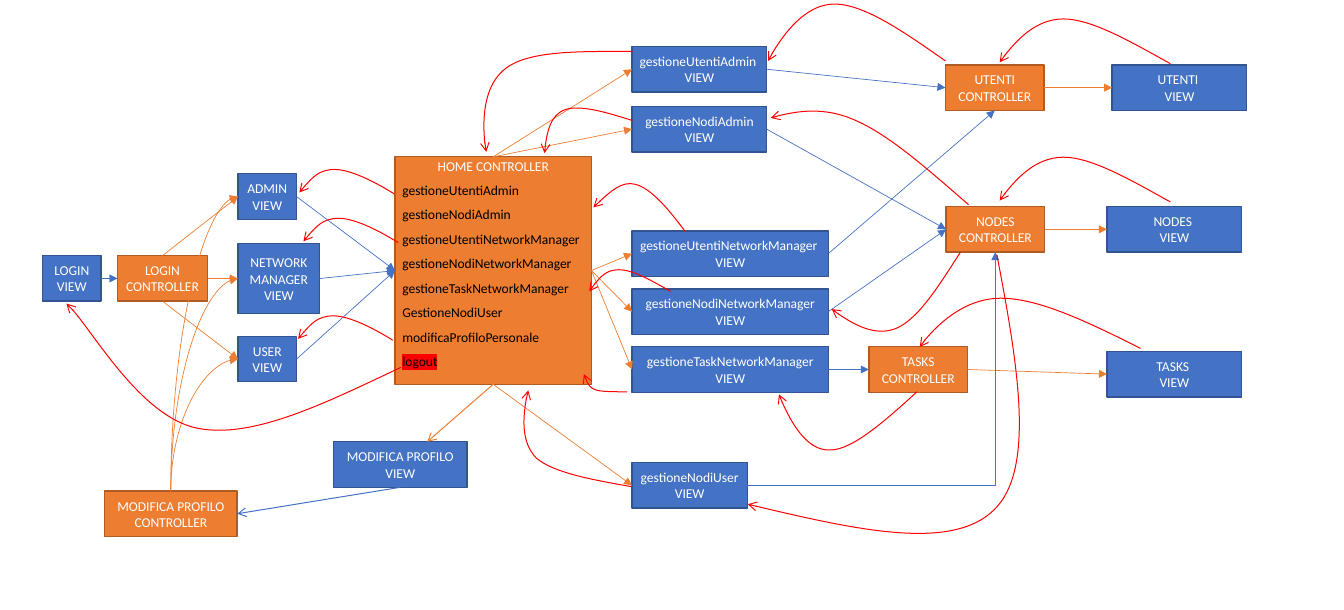
from lxml import etree
from pptx import Presentation
from pptx.dml.color import RGBColor
from pptx.enum.shapes import MSO_CONNECTOR, MSO_SHAPE
from pptx.enum.text import MSO_ANCHOR, PP_ALIGN
from pptx.oxml.ns import qn
from pptx.util import Pt

THEME = {
    "font": "Calibri", "size": Pt(10),
    "view": "4472C4", "view_edge": "325491",
    "controller": "ED7D31", "controller_edge": "AF5C24",
    "back": "FF0000", "light": "FFFFFF", "dark": "000000",
}
TOP, LEFT, BOTTOM, RIGHT = range(4)

prs = Presentation()
prs.slide_width, prs.slide_height = Pt(992.16), Pt(450)
slide = prs.slides.add_slide(prs.slide_layouts[6])
shapes = slide.shapes


def add_paragraph_text(paragraph, text, color, align):
    """Write one formatted run into a paragraph and return it."""
    paragraph.alignment = align
    run = paragraph.add_run()
    run.text = text
    run.font.name, run.font.size = THEME["font"], THEME["size"]
    run.font.color.rgb = RGBColor.from_string(THEME[color])
    return run


def style_line(shape, color, width, arrow, end="tailEnd"):
    """Set a line's colour, width and arrowhead, and drop its shadow."""
    shape.line.color.rgb = RGBColor.from_string(THEME[color])
    shape.line.width = Pt(width)
    etree.SubElement(shape.line._get_or_add_ln(), qn("a:" + end), type=arrow)
    properties = shape._element.spPr
    if properties.find(qn("a:effectLst")) is None:
        etree.SubElement(properties, qn("a:effectLst"))


# Boxes: key, kind, text, left, top, width, height
ROW = 33.6
BOXES = [
    ("admin", "view", "ADMIN VIEW", 175.7, 128.2, 43.2, ROW),
    ("user", "view", "USER VIEW", 175.7, 248.1, 43.2, ROW),
    ("network", "view", "NETWORK MANAGER VIEW", 175.7, 179.6, 60.3, 51.8),
    ("home", "controller", "HOME CONTROLLER", 291.6, 115.7, 145, 167.8),
    ("login", "view", "LOGIN VIEW", 31.4, 188.6, 43.2, ROW),
    ("login_ctl", "controller", "LOGIN CONTROLLER", 86.7, 188.6, 66.5, ROW),
    ("utenti_admin", "view", "gestioneUtentiAdmin \nVIEW", 466.6, 34.3, 99.4, ROW),
    ("nodi_admin", "view", "gestioneNodiAdmin VIEW", 466.6, 78.5, 99.4, ROW),
    ("utenti_nm", "view", "gestioneUtentiNetworkManager \nVIEW", 466.6, 170.3, 144.9, ROW),
    ("nodi_nm", "view", "gestioneNodiNetworkManager\nVIEW", 466.6, 213.1, 144.9, ROW),
    ("task_nm", "view", "gestioneTaskNetworkManager\nVIEW", 466.6, 255.8, 144.9, ROW),
    ("nodi_user", "view", "gestioneNodiUser\nVIEW", 466.6, 341.3, 85, ROW),
    ("utenti_ctl", "controller", "UTENTI CONTROLLER", 698, 47.9, 72.7, ROW),
    ("utenti", "view", "UTENTI \nVIEW", 821, 47.9, 99.4, ROW),
    ("nodes_ctl", "controller", "NODES CONTROLLER", 698.4, 152.4, 72.7, ROW),
    ("nodes", "view", "NODES \nVIEW", 817.2, 152.4, 99.4, ROW),
    ("tasks_ctl", "controller", "TASKS CONTROLLER", 641.5, 255.8, 72.7, ROW),
    ("tasks", "view", "TASKS \nVIEW", 817.2, 259.2, 99.4, ROW),
    ("modifica", "view", "MODIFICA PROFILO VIEW", 246.2, 325.9, 98.6, ROW),
    ("modifica_ctl", "controller", "MODIFICA PROFILO CONTROLLER", 77.2, 362.2, 97.9, ROW),
]
boxes = {}
for key, kind, text, *place in BOXES:
    box = shapes.add_shape(MSO_SHAPE.RECTANGLE, *map(Pt, place))
    box.shadow.inherit = False
    box.fill.solid()
    box.fill.fore_color.rgb = RGBColor.from_string(THEME[kind])
    box.line.color.rgb = RGBColor.from_string(THEME[kind + "_edge"])
    box.line.width = Pt(1)
    frame = box.text_frame
    frame.word_wrap = True
    frame.vertical_anchor = MSO_ANCHOR.MIDDLE
    frame.margin_left = frame.margin_right = Pt(5.4)
    frame.margin_top = frame.margin_bottom = Pt(2.7)
    for i, line in enumerate(text.split("\n")):
        paragraph = frame.add_paragraph() if i else frame.paragraphs[0]
        add_paragraph_text(paragraph, line, "light", PP_ALIGN.CENTER)
    boxes[key] = box

# Actions listed in the home controller
home_frame = boxes["home"].text_frame
home_frame.margin_top, home_frame.margin_bottom = Pt(0), Pt(10.6)
for action in ["gestioneUtentiAdmin", "gestioneNodiAdmin",
               "gestioneUtentiNetworkManager", "gestioneNodiNetworkManager",
               "gestioneTaskNetworkManager", "GestioneNodiUser",
               "modificaProfiloPersonale", "logout"]:
    paragraph = home_frame.add_paragraph()
    paragraph.line_spacing = 1.5
    run = add_paragraph_text(paragraph, action, "dark", PP_ALIGN.LEFT)
highlight = etree.Element(qn("a:highlight"))
etree.SubElement(highlight, qn("a:srgbClr"), val=THEME["back"])
run.font._element.find(qn("a:solidFill")).addnext(highlight)

# Forward links, glued to box sides; the colour follows the source box
LINKS = [
    ("admin", RIGHT, "home", LEFT), ("user", RIGHT, "home", LEFT),
    ("network", RIGHT, "home", LEFT), ("login", RIGHT, "login_ctl", LEFT),
    ("login_ctl", TOP, "admin", LEFT), ("login_ctl", BOTTOM, "user", LEFT),
    ("login_ctl", RIGHT, "network", LEFT),
    ("home", TOP, "utenti_admin", LEFT), ("home", TOP, "nodi_admin", LEFT),
    ("home", RIGHT, "utenti_nm", LEFT), ("home", RIGHT, "nodi_nm", LEFT),
    ("home", RIGHT, "task_nm", LEFT), ("home", BOTTOM, "nodi_user", LEFT),
    ("home", BOTTOM, "modifica", None), ("modifica", BOTTOM, "modifica_ctl", RIGHT),
    ("utenti_ctl", RIGHT, "utenti", LEFT), ("nodes_ctl", RIGHT, "nodes", LEFT),
    ("tasks_ctl", RIGHT, "tasks", LEFT),
    ("utenti_nm", RIGHT, "utenti_ctl", BOTTOM),
    ("utenti_admin", RIGHT, "utenti_ctl", LEFT),
    ("nodi_admin", RIGHT, "nodes_ctl", LEFT), ("nodi_nm", RIGHT, "nodes_ctl", LEFT),
    ("task_nm", RIGHT, "tasks_ctl", LEFT), ("nodi_user", RIGHT, "nodes_ctl", BOTTOM),
    # Curves run from the view's side, so their arrowhead is at the start
    ("user", LEFT, "modifica_ctl", TOP), ("network", LEFT, "modifica_ctl", TOP),
    ("admin", LEFT, "modifica_ctl", TOP),
]
MODIFICA_ENTRY = Pt(315.4), Pt(325.9)
BENDS = {(RIGHT, "nodi_user"): (MSO_CONNECTOR.ELBOW, "bentConnector2"),
         **{(LEFT, view): (MSO_CONNECTOR.CURVE, "curvedConnector2")
            for view in ("user", "network", "admin")}}
for source, source_side, target, target_side in LINKS:
    kind, preset = BENDS.get((source_side, source), (MSO_CONNECTOR.STRAIGHT, "line"))
    link = shapes.add_connector(kind, 0, 0, *MODIFICA_ENTRY)
    link.begin_connect(boxes[source], source_side)
    if target_side is not None:
        link.end_connect(boxes[target], target_side)
    link._element.spPr.find(qn("a:prstGeom")).set("prst", preset)
    curved = kind == MSO_CONNECTOR.CURVE
    color = "controller" if curved or source.endswith("_ctl") or source == "home" else "view"
    profile = not curved and "modifica" in target
    style_line(link, color, 0.75 if profile else 0.5, "arrow" if profile else "triangle",
               "headEnd" if curved else "tailEnd")

# Return arrows: a start point, then two cubic curves of three points each
VIEW_ARC = [(864, 47), (835, 31), (806, 14), (785, 14), (764, 14), (743, 38), (738, 46)]
HOME_ARC = [(291, 143), (275, 133), (258, 125), (247, 125), (235, 125), (224, 138), (221, 142)]
RETURNS = [
    [(296, 271), (241, 297), (187, 324), (146, 316), (105, 308), (63, 235), (49, 224)],
    [(842, 257), (804, 238), (767, 220), (739, 220), (712, 220), (685, 246), (679, 256)],
    [(709, 186), (693, 211), (678, 235), (662, 242), (646, 249), (621, 234), (614, 228)],
    [(715, 151), (685, 125), (657, 100), (632, 89), (608, 78), (577, 84), (569, 87)],
    [(698, 45), (668, 24), (638, 3), (616, 3), (594, 3), (572, 34), (567, 45)],
    [(677, 289), (653, 311), (629, 332), (613, 332), (595, 333), (579, 302), (575, 291)],
    [(736, 188), (751, 267), (765, 346), (734, 376), (703, 407), (628, 390), (552, 372)],
    [(466, 359), (438, 354), (409, 349), (396, 338), (384, 326), (387, 297), (390, 288)],
    [(467, 38), (430, 38), (392, 37), (374, 50), (356, 63), (356, 100), (359, 112)],
    [(467, 89), (448, 83), (428, 77), (417, 81), (406, 85), (402, 106), (402, 113)],
    [(463, 289), (454, 289), (446, 289), (441, 288), (435, 286), (431, 279), (431, 276)],
    [(495, 215), (481, 207), (467, 199), (457, 199), (447, 199), (437, 211), (435, 215)],
    [(506, 171), (494, 155), (481, 139), (469, 136), (459, 133), (443, 148), (438, 153)],
]
for arc, shifts in [(VIEW_ARC, [(0, 0), (0, 102)]),
                    (HOME_ARC, [(0, 0), (3, 36), (-1, 108)])]:
    RETURNS += [[(x + dx, y + dy) for x, y in arc] for dx, dy in shifts]

for start, *controls in RETURNS:
    builder = shapes.build_freeform(*start, scale=Pt(1))
    builder.add_line_segments(controls, close=False)
    arrow = builder.convert_to_shape()
    arrow.shadow.inherit = False
    arrow.fill.background()
    style_line(arrow, "back", 0.75, "arrow")
    path = arrow._element.spPr.find(".//" + qn("a:path"))
    segments = path.findall(qn("a:lnTo"))
    for first in (0, 3):
        curve = etree.SubElement(path, qn("a:cubicBezTo"))
        for segment in segments[first:first + 3]:
            curve.append(segment[0])
            path.remove(segment)

prs.save("out.pptx")
